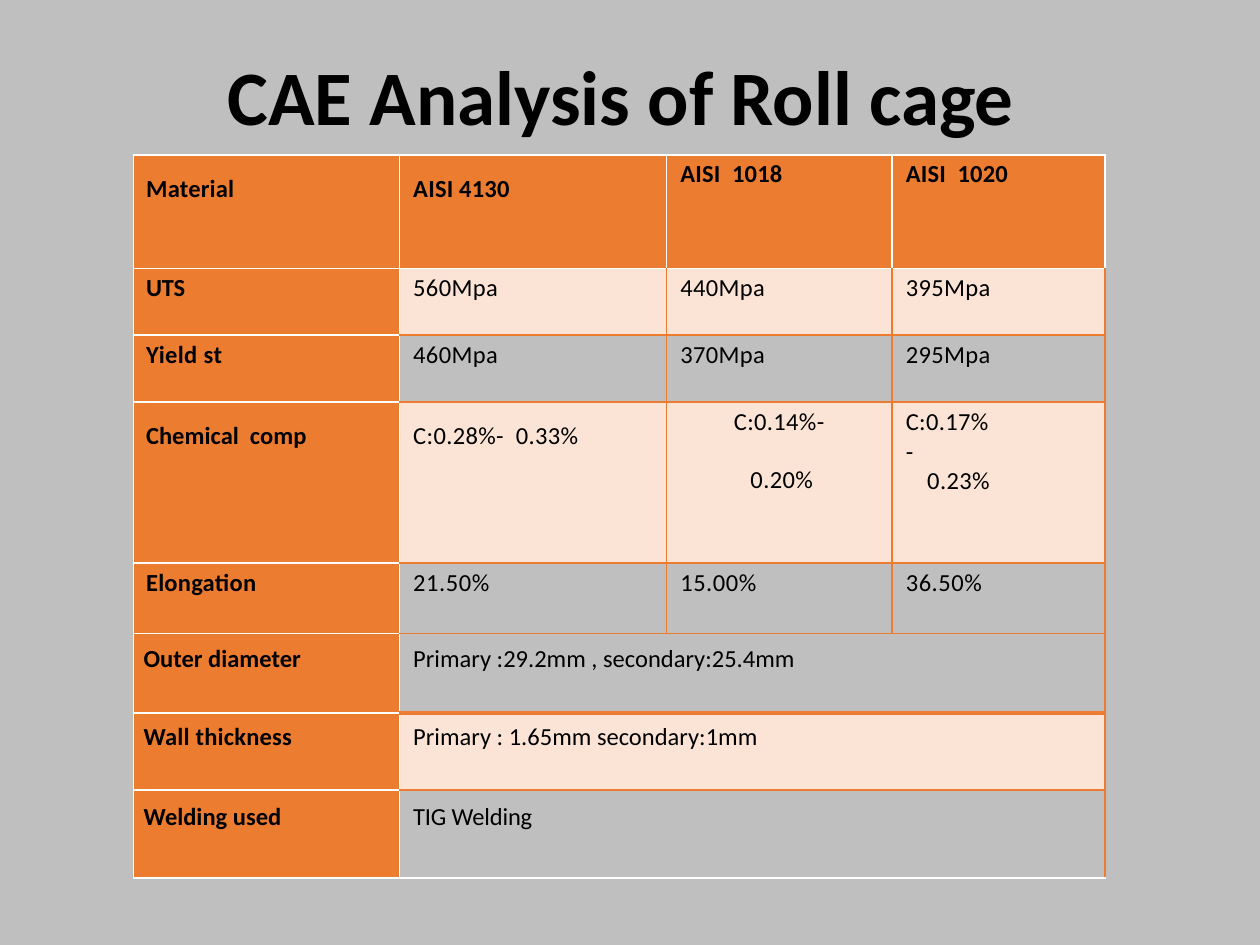
from lxml import etree
from pptx import Presentation
from pptx.dml.color import RGBColor
from pptx.enum.text import MSO_ANCHOR, PP_ALIGN
from pptx.oxml.ns import qn
from pptx.util import Inches, Pt

CENTER, LEFT = PP_ALIGN.CENTER, PP_ALIGN.LEFT
TOP, MIDDLE = MSO_ANCHOR.TOP, MSO_ANCHOR.MIDDLE

COL_WIDTHS = [2.11, 2.12, 1.79, 1.69]

# Row height, top margin, label indent, label and value letter spacing, texts
ROWS = [
    (0.90, 0.15, 0.10, 0.1, 0.1, ["Material", "AISI 4130", "AISI  1018", "AISI  1020"]),
    (0.53, 0.04, 0.10, -0.2, 0.2, ["UTS", "560Mpa", "440Mpa", "395Mpa"]),
    (0.53, 0.04, 0.10, 0.2, 0.2, ["Yield st", "460Mpa", "370Mpa", "295Mpa"]),
    (1.28, 0.15, 0.10, 0, 0.2,
     ["Chemical  comp", "C:0.28%-  0.33%", "C:0.14%-\n0.20%", "C:0.17%\n-\n0.23%"]),
    (0.56, 0.04, 0.10, 0.1, 0.3, ["Elongation", "21.50%", "15.00%", "36.50%"]),
    (0.63, 0.08, 0.08, 0, 0, ["Outer diameter", "Primary :29.2mm , secondary:25.4mm"]),
    (0.61, 0.07, 0.08, 0.1, 0, ["Wall thickness", "Primary : 1.65mm secondary:1mm"]),
    (0.70, 0.10, 0.08, 0, -0.1, ["Welding used", "TIG Welding"]),
]
HEADER, CHEMISTRY, DIAMETER, WALL, LAST = 0, 3, 5, 6, len(ROWS) - 1
TINTED_ROWS = {1, CHEMISTRY, WALL}

# Paragraph formats of the two multi-line composition cells
COMPOSITION = {
    2: [dict(indent=0, alignment=CENTER),
        dict(indent=0.04, alignment=CENTER, space_before=Pt(16))],
    3: [dict(indent=0.11),
        dict(indent=0.11, line_spacing=Pt(16.6), space_before=Pt(0.5)),
        dict(indent=0.28, line_spacing=Pt(16.6))],
}


def color(value):
    return RGBColor.from_string(value)


class Deck:
    font, black, white = "Calibri", "000000", "FFFFFF"
    orange, tint, gray = "EC7C30", "FBE4D5", "BFBFBF"

    def __init__(self):
        self.prs = Presentation()
        self.prs.slide_width, self.prs.slide_height = Inches(10), Inches(7.5)
        self.s = self.prs.slides.add_slide(self.prs.slide_layouts[5])
        fill = self.s.background.fill
        fill.solid()
        fill.fore_color.rgb = color(self.gray)

    def text(self, p, content, size, bold, spacing=0, indent=0, **formats):
        pPr = p._p.get_or_add_pPr()
        pPr.set("marL", str(Inches(indent)))
        pPr.set("indent", "0")
        for name, value in formats.items():
            setattr(p, name, value)
        r = p.add_run()
        r.text = content
        for name, value in dict(name=self.font, size=Pt(size), bold=bold).items():
            setattr(r.font, name, value)
        r.font.color.rgb = color(self.black)
        r._r.get_or_add_rPr().set("spc", str(round(spacing * 100)))

    def title(self, content, x, y, w, h):
        sp = self.s.shapes.title
        sp.left, sp.top, sp.width, sp.height = map(Inches, (x, y, w, h))
        tf = sp.text_frame
        tf.word_wrap, tf.vertical_anchor = True, MIDDLE
        self.text(tf.paragraphs[0], content, 44, True, alignment=CENTER)

    def border(self, cell, side, rgb, width=1):
        ln = etree.SubElement(cell._tc.get_or_add_tcPr(), qn("a:ln" + side),
                              w=str(Pt(width)))
        fill = etree.SubElement(ln, qn("a:solidFill"))
        etree.SubElement(fill, qn("a:srgbClr"), val=rgb)

    def style_cell(self, cell, i, j):
        # White lines around headings, orange lines between values
        heading = i == HEADER or j == 0
        white = {"L": heading or j == 1, "R": heading,
                 "T": heading or i == 1, "B": heading or i == LAST}
        thick = {"T": WALL, "B": DIAMETER}
        for side, is_white in white.items():
            width = 2.25 if j and thick.get(side) == i else 1
            self.border(cell, side, self.white if is_white else self.orange, width)
        if heading or i in TINTED_ROWS:
            cell.fill.solid()
            cell.fill.fore_color.rgb = color(self.orange if heading else self.tint)
        else:
            cell.fill.background()

    def fill_cell(self, cell, i, j, content):
        _, top, label_indent, label_spacing, value_spacing, _ = ROWS[i]
        if j > 1:
            top = 0.03 if i == HEADER else 0.04
        cell.margin_left = cell.margin_right = cell.margin_bottom = 0
        cell.margin_top, cell.vertical_anchor = Inches(top), TOP
        indent = 0.11 if j else label_indent
        spacing = value_spacing if j else label_spacing
        lines = content.split("\n")
        formats = [dict(indent=indent)]
        if i == CHEMISTRY:
            formats = COMPOSITION.get(j, formats)
        tf = cell.text_frame
        for k, (line, fmt) in enumerate(zip(lines, formats)):
            p = tf.add_paragraph() if k else tf.paragraphs[0]
            self.text(p, line, 14, i == HEADER or j == 0, spacing,
                      **{"alignment": LEFT, **fmt})

    def table(self, x, y):
        heights = [row[0] for row in ROWS]
        tbl = self.s.shapes.add_table(
            len(ROWS), len(COL_WIDTHS), Inches(x), Inches(y),
            Inches(sum(COL_WIDTHS)), Inches(sum(heights))).table
        tbl.first_row = tbl.horz_banding = False
        for column, width in zip(tbl.columns, COL_WIDTHS):
            column.width = Inches(width)
        for i, (height, *_, texts) in enumerate(ROWS):
            tbl.rows[i].height = Inches(height)
            for j in range(len(COL_WIDTHS)):
                self.style_cell(tbl.cell(i, j), i, j)
            # A row with one value spans all value columns
            if len(texts) == 2:
                tbl.cell(i, 1).merge(tbl.cell(i, len(COL_WIDTHS) - 1))
            for j, content in enumerate(texts):
                self.fill_cell(tbl.cell(i, j), i, j, content)


def main():
    deck = Deck()
    # Heading
    deck.title("CAE Analysis of Roll cage", 0.43, 0.13, 9, 1.25)
    # Material comparison
    deck.table(1.06, 1.23)
    deck.prs.save("out.pptx")


if __name__ == "__main__":
    main()
